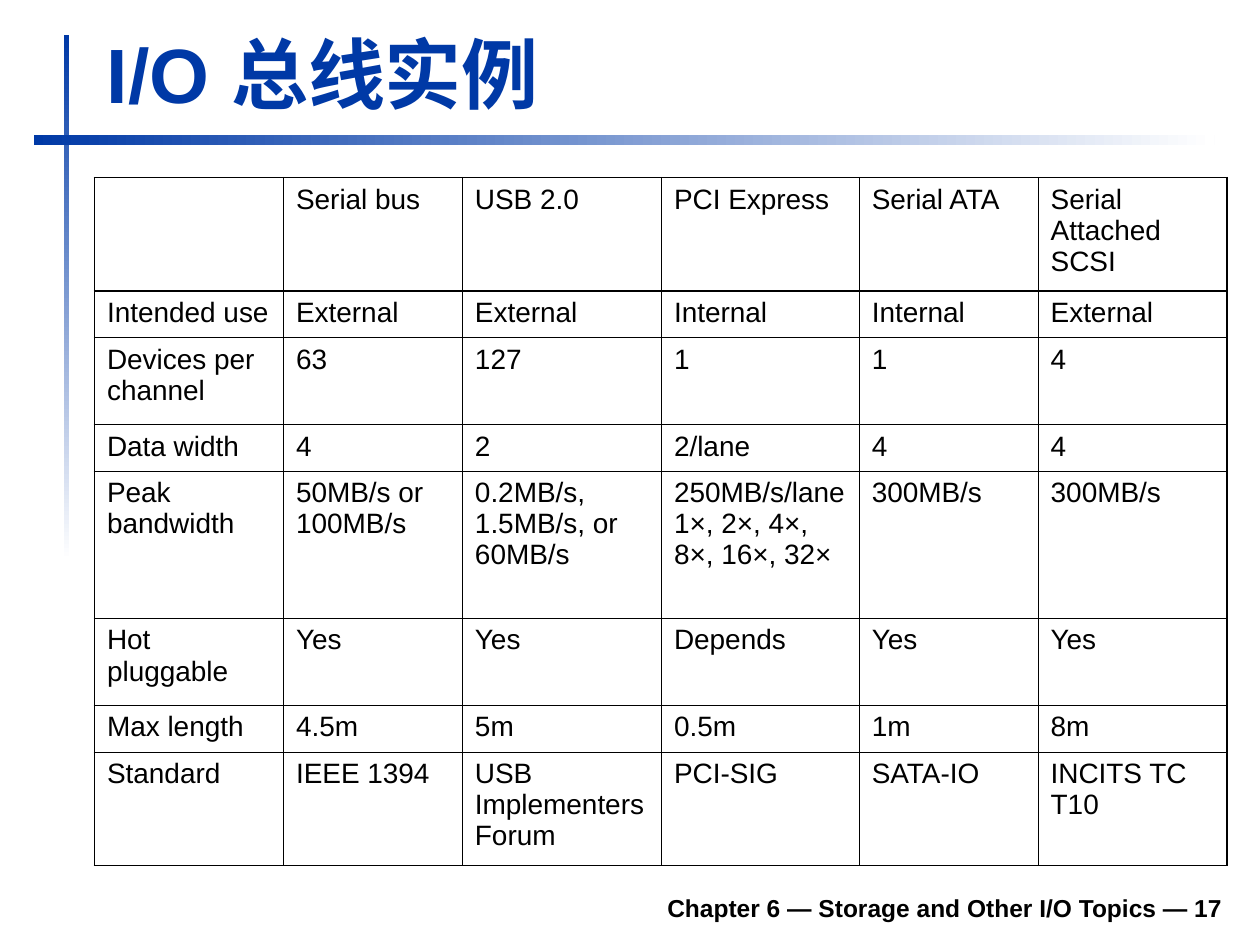
from pptx import Presentation
from pptx.dml.color import RGBColor
from pptx.enum.shapes import MSO_SHAPE
from pptx.enum.text import MSO_ANCHOR, PP_ALIGN
from pptx.oxml.ns import qn
from pptx.util import Inches, Pt
from lxml import etree

RECT = MSO_SHAPE.RECTANGLE
BOTTOM = MSO_ANCHOR.BOTTOM
LEFT, RIGHT = PP_ALIGN.LEFT, PP_ALIGN.RIGHT
BLUE = RGBColor(0x00, 0x39, 0xA6)
WHITE = RGBColor(0xFF, 0xFF, 0xFF)
BLACK = RGBColor(0x00, 0x00, 0x00)

TITLE = {"size": Pt(44), "bold": True, "color": BLUE}
FOOTER = {"size": Pt(14), "bold": True, "color": BLACK}
BODY = {"size": Pt(16), "bold": False, "color": BLACK}

COLS = [1.5, 1.42, 1.58, 1.57, 1.42, 1.5]
ROWS = [0.9, 0.37, 0.69, 0.37, 1.17, 0.69, 0.37, 0.9]
BUSES = [
    ["", "Serial bus", "USB 2.0", "PCI Express", "Serial ATA",
     "Serial Attached SCSI"],
    ["Intended use", "External", "External", "Internal", "Internal",
     "External"],
    ["Devices per channel", "63", "127", "1", "1", "4"],
    ["Data width", "4", "2", "2/lane", "4", "4"],
    ["Peak bandwidth", "50MB/s or 100MB/s", "0.2MB/s, 1.5MB/s, or 60MB/s",
     "250MB/s/lane\v1×, 2×, 4×, 8×, 16×, 32×", "300MB/s", "300MB/s"],
    ["Hot pluggable", "Yes", "Yes", "Depends", "Yes", "Yes"],
    ["Max length", "4.5m", "5m", "0.5m", "1m", "8m"],
    ["Standard", "IEEE 1394", "USB Implementers Forum", "PCI-SIG",
     "SATA-IO", "INCITS TC T10"],
]


def weight(index, last):
    if index in (0, last):
        return 1.08
    return 0.75 if index == 1 else 0.45


class Deck:
    def __init__(self, slide, face):
        self.slide = slide
        self.face = face

    def style(self, frame, form):
        for para in frame.paragraphs:
            for run in para.runs:
                run.font.name = self.face
                for key, value in form.items():
                    if key == "color":
                        run.font.color.rgb = value
                    else:
                        setattr(run.font, key, value)

    def bar(self, box, angle):
        shape = self.slide.shapes.add_shape(RECT, *map(Inches, box))
        shape.shadow.inherit = False
        shape.line.fill.background()
        shape.fill.gradient()
        shape.fill.gradient_angle = angle
        for stop, color, place in zip(
                shape.fill.gradient_stops, (BLUE, WHITE), (0, 1)):
            stop.color.rgb = color
            stop.position = place

    def text(self, box, words, form, align):
        frame = self.slide.shapes.add_textbox(*map(Inches, box)).text_frame
        frame.word_wrap = True
        frame.vertical_anchor = BOTTOM
        frame.text = words
        frame.paragraphs[0].alignment = align
        self.style(frame, form)

    def edge(self, cell, side, width):
        props = cell._tc.get_or_add_tcPr()
        line = etree.SubElement(props, qn("a:ln" + side), w=str(Pt(width)))
        fill = etree.SubElement(line, qn("a:solidFill"))
        etree.SubElement(fill, qn("a:srgbClr"), val=str(BLACK))

    def table(self, left, top, data, cols, rows, form):
        box = map(Inches, (left, top, sum(cols), sum(rows)))
        table = self.slide.shapes.add_table(len(rows), len(cols), *box).table
        table.first_row = False
        table.horz_banding = False
        for col, width in zip(table.columns, cols):
            col.width = Inches(width)
        for row, height in zip(table.rows, rows):
            row.height = Inches(height)
        for r, line in enumerate(data):
            for c, words in enumerate(line):
                cell = table.cell(r, c)
                cell.text_frame.text = words
                self.style(cell.text_frame, form)
                self.edge(cell, "L", weight(c, len(cols)))
                self.edge(cell, "R", weight(c + 1, len(cols)))
                self.edge(cell, "T", weight(r, len(rows)))
                self.edge(cell, "B", weight(r + 1, len(rows)))
                cell.fill.background()


def main():
    show = Presentation()
    show.slide_width, show.slide_height = Inches(10), Inches(7.5)
    deck = Deck(show.slides.add_slide(show.slide_layouts[6]), "Arial")
    deck.bar((0.51, 0.28, 0.04, 4.17), 270)
    deck.bar((0.27, 1.07, 9.37, 0.08), 0)
    deck.text((1.85, 6.98, 7.95, 0.39),
              "Chapter 6 — Storage and Other I/O Topics — 17", FOOTER, RIGHT)
    deck.text((0.75, 0.16, 9.03, 0.83), "I/O 总线实例", TITLE, LEFT)
    deck.table(0.75, 1.41, BUSES, COLS, ROWS, BODY)
    show.save("out.pptx")


if __name__ == "__main__":
    main()
